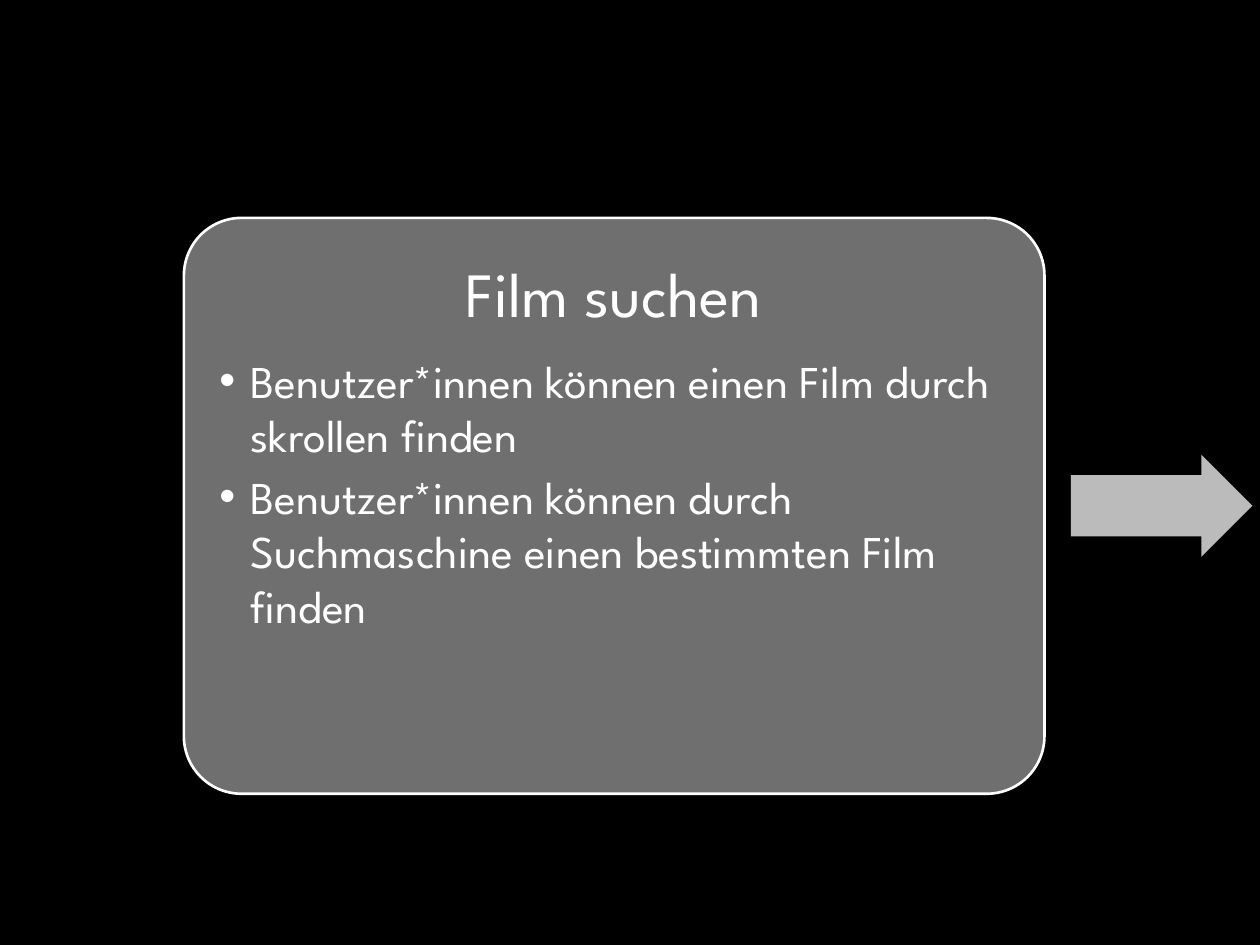
from dataclasses import dataclass

from pptx import Presentation
from pptx.dml.color import RGBColor as Rgb
from pptx.enum.shapes import MSO_SHAPE as Kind
from pptx.enum.text import MSO_ANCHOR as Anchor, MSO_AUTO_SIZE as Fit, PP_ALIGN as Align
from pptx.util import Inches, Pt


@dataclass(frozen=True)
class Theme:
    back: str = "000000"
    card: str = "6F6F6F"
    arrow: str = "BBBBBB"
    ink: str = "FFFFFF"
    font: str = "League Spartan"
    head: int = 36
    body: int = 26
    edge: float = 1.5


@dataclass(frozen=True)
class Box:
    """A place on the slide, as shares of its width and height."""
    left: float
    top: float
    width: float
    height: float

    def fit(self, shape) -> None:
        sides = {"left": self.left * WIDE, "top": self.top * HIGH,
                 "width": self.width * WIDE, "height": self.height * HIGH}
        for name, size in sides.items():
            setattr(shape, name, round(size))


THEME = Theme()
WIDE, HIGH = Inches(10), Inches(7.5)
PAD, HANG = Inches(0.15), Inches(0.25)
CARD = Box(1.46 / 10, 1.73 / 7.5, 6.83 / 10, 4.57 / 7.5)
HEAD = Box(1.59 / 10, 1.87 / 7.5, 6.56 / 10, 0.93 / 7.5)
LIST = Box(1.59 / 10, 2.8 / 7.5, 6.56 / 10, 3.38 / 7.5)
ARROW = Box(8.5 / 10, 3.61 / 7.5, 1.44 / 10, 0.81 / 7.5)
ITEMS = [
    "Benutzer*innen können einen Film durch skrollen finden",
    "Benutzer*innen können durch Suchmaschine einen bestimmten Film finden",
]


def draw(slide, kind: Kind, box: Box, fill: str, bends: list[float]):
    shape = slide.shapes.add_shape(kind, 0, 0, 0, 0)
    box.fit(shape)
    shape.shadow.inherit = False
    shape.fill.solid()
    shape.fill.fore_color.rgb = Rgb.from_string(fill)
    shape.line.fill.background()
    for at, bend in enumerate(bends):
        shape.adjustments[at] = bend
    return shape


def write(holder, box: Box, lines: list[str], size: int, align: Align,
          top: int = 0, hang: int = 0, gap: float = 0) -> None:
    """Fill a placeholder with one paragraph a line; hang sets the bullet indent."""
    box.fit(holder)
    frame = holder.text_frame
    frame.text = "\n".join(lines)
    look = {"margin_left": PAD, "margin_right": PAD, "margin_top": top,
            "margin_bottom": 0, "word_wrap": True, "auto_size": Fit.NONE,
            "vertical_anchor": Anchor.TOP}
    for name, value in look.items():
        setattr(frame, name, value)
    for para in frame.paragraphs:
        props = para._p.get_or_add_pPr()
        props.set("marL", str(hang))
        props.set("indent", str(-hang))
        style = {"alignment": align, "space_before": Pt(0),
                 "space_after": Pt(gap), "line_spacing": 1.0}
        for name, value in style.items():
            setattr(para, name, value)
        for run in para.runs:
            run.font.name = THEME.font
            run.font.size = Pt(size)
            run.font.color.rgb = Rgb.from_string(THEME.ink)


def main() -> None:
    deck = Presentation()
    deck.slide_width, deck.slide_height = WIDE, HIGH
    slide = deck.slides.add_slide(deck.slide_layouts[1])
    slide.background.fill.solid()
    slide.background.fill.fore_color.rgb = Rgb.from_string(THEME.back)

    title, body = slide.placeholders
    card = draw(slide, Kind.ROUNDED_RECTANGLE, CARD, THEME.card, [0.1])
    card.line.color.rgb = Rgb.from_string(THEME.ink)
    card.line.width = Pt(THEME.edge)
    title.element.addprevious(card.element)  # the card lies behind the text

    write(title, HEAD, ["Film suchen"], THEME.head, Align.CENTER, top=PAD)
    write(body, LIST, ITEMS, THEME.body, Align.LEFT, hang=HANG,
          gap=0.15 * THEME.body)
    draw(slide, Kind.RIGHT_ARROW, ARROW, THEME.arrow, [0.6, 0.5])
    deck.save("out.pptx")


if __name__ == "__main__":
    main()
